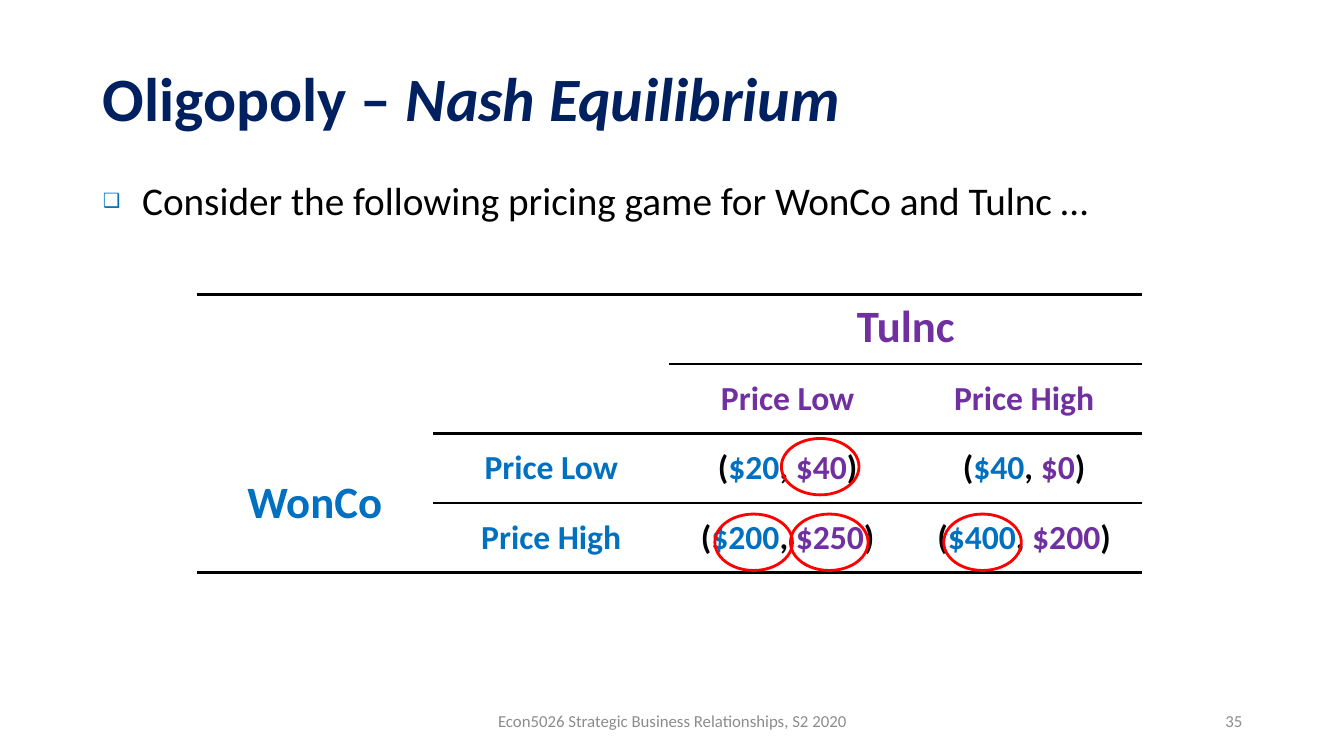
from lxml import etree
from pptx import Presentation
from pptx.dml.color import RGBColor
from pptx.enum.shapes import MSO_SHAPE
from pptx.enum.text import MSO_ANCHOR, PP_ALIGN
from pptx.oxml.ns import qn
from pptx.util import Inches, Pt

OVAL = MSO_SHAPE.OVAL
MIDDLE = MSO_ANCHOR.MIDDLE
TOP = MSO_ANCHOR.TOP
LEFT = PP_ALIGN.LEFT
CENTER = PP_ALIGN.CENTER
RIGHT = PP_ALIGN.RIGHT

NAVY = RGBColor(0x00, 0x20, 0x60)
BLUE = RGBColor(0x00, 0x70, 0xC0)
PURPLE = RGBColor(0x70, 0x30, 0xA0)
BLACK = RGBColor(0x00, 0x00, 0x00)
GRAY = RGBColor(0x8C, 0x8C, 0x8C)
RED = RGBColor(0xFF, 0x00, 0x00)

FONT = "Calibri"
HEADINGS = [
    (0, 2, "Tulnc", 32, PURPLE),
    (1, 2, "Price Low", 24, PURPLE),
    (1, 3, "Price High", 24, PURPLE),
    (2, 0, "WonCo", 32, BLUE),
    (2, 1, "Price Low", 24, BLUE),
    (3, 1, "Price High", 24, BLUE),
]
PAYOFFS = [
    [("$20", "$40"), ("$40", "$0")],
    [("$200", "$250"), ("$400", "$200")],
]
RULES = [(0, 2.25), (2, 1.5), (1, 2.25), (1, 1.5), (0, 2.25)]
BEST_RESPONSES = [(7.75, 4.35), (7.84, 5.1), (7.09, 5.1), (9.36, 5.1)]


def place(shape, left, top, width, height):
    shape.left, shape.top = Inches(left), Inches(top)
    shape.width, shape.height = Inches(width), Inches(height)


def add_run(paragraph, text, size, color, bold=False, italic=False):
    run = paragraph.add_run()
    run.text = text
    run.font.name = FONT
    run.font.size = Pt(size)
    run.font.color.rgb = color
    run.font.bold = bold
    run.font.italic = italic


def add_title(slide):
    title = slide.shapes.title
    place(title, 0.92, 0.4, 11.5, 1.21)
    title.text_frame.vertical_anchor = MIDDLE
    paragraph = title.text_frame.paragraphs[0]
    paragraph.alignment = LEFT
    paragraph.line_spacing = 0.9
    add_run(paragraph, "Oligopoly – ", 44, NAVY, bold=True)
    add_run(paragraph, "Nash Equilibrium", 44, NAVY, bold=True, italic=True)


def add_bullet(paragraph):
    properties = paragraph._p.get_or_add_pPr()
    properties.set("marL", str(Inches(0.39)))
    properties.set("indent", str(Inches(-0.39)))
    color = etree.SubElement(properties, qn("a:buClr"))
    etree.SubElement(color, qn("a:srgbClr"), val=str(BLUE))
    etree.SubElement(properties, qn("a:buSzPct"), val="50000")
    etree.SubElement(properties, qn("a:buChar"), char="❑")


def add_body(slide):
    body = slide.placeholders[1]
    place(body, 0.92, 1.61, 11.5, 5.14)
    paragraph = body.text_frame.paragraphs[0]
    add_bullet(paragraph)
    paragraph.line_spacing = 1.2
    paragraph.space_before = Pt(0)
    paragraph.space_after = Pt(6)
    add_run(paragraph, "Consider the following pricing game for WonCo and Tulnc …", 28, BLACK)


def add_footer(slide, text, left, width, alignment):
    box = slide.shapes.add_textbox(Inches(left), Inches(6.95), Inches(width), Inches(0.4))
    box.text_frame.word_wrap = True
    box.text_frame.vertical_anchor = MIDDLE
    paragraph = box.text_frame.paragraphs[0]
    paragraph.alignment = alignment
    add_run(paragraph, text, 12, GRAY)


def add_border(cell, side, width):
    line = etree.SubElement(cell._tc.get_or_add_tcPr(), qn("a:" + side), w=str(Pt(width)))
    if width:
        fill = etree.SubElement(line, qn("a:solidFill"))
        etree.SubElement(fill, qn("a:srgbClr"), val=str(BLACK))
    else:
        etree.SubElement(line, qn("a:noFill"))


def rule_width(edge, column):
    first_column, width = RULES[edge]
    return width if column >= first_column else 0


def format_cell(cell, row, column):
    bottom = row + (cell.span_height if cell.is_merge_origin else 1)
    add_border(cell, "lnL", 0)
    add_border(cell, "lnR", 0)
    add_border(cell, "lnT", rule_width(row, column))
    add_border(cell, "lnB", rule_width(bottom, column))
    cell.fill.background()
    cell.vertical_anchor = MIDDLE if row else TOP
    cell.text_frame.paragraphs[0].alignment = CENTER


def add_payoff_table(slide):
    frame = slide.shapes.add_table(4, 4, Inches(1.95), Inches(2.92), Inches(9.38), Inches(2.76))
    table = frame.table
    table.first_row = False
    table.horz_banding = False
    table.cell(0, 2).merge(table.cell(0, 3))
    table.cell(2, 0).merge(table.cell(3, 0))
    for row in range(4):
        for column in range(4):
            format_cell(table.cell(row, column), row, column)
    for row, column, text, size, color in HEADINGS:
        paragraph = table.cell(row, column).text_frame.paragraphs[0]
        add_run(paragraph, text, size, color, bold=True)
    for row, pairs in enumerate(PAYOFFS, start=2):
        for column, (wonco, tulnc) in enumerate(pairs, start=2):
            paragraph = table.cell(row, column).text_frame.paragraphs[0]
            parts = [("(", BLACK), (wonco, BLUE), (", ", BLACK), (tulnc, PURPLE), (")", BLACK)]
            for text, color in parts:
                add_run(paragraph, text, 24, color, bold=True)


def add_best_response(slide, left, top):
    oval = slide.shapes.add_shape(OVAL, Inches(left), Inches(top), Inches(0.77), Inches(0.56))
    oval.shadow.inherit = False
    oval.fill.background()
    oval.line.color.rgb = RED
    oval.line.width = Pt(2)


def main():
    presentation = Presentation()
    presentation.slide_width = Inches(13.33)
    presentation.slide_height = Inches(7.5)
    slide = presentation.slides.add_slide(presentation.slide_layouts[1])
    add_title(slide)
    add_body(slide)
    add_footer(slide, "Econ5026 Strategic Business Relationships, S2 2020", 4.42, 4.5, CENTER)
    add_footer(slide, "35", 9.42, 3, RIGHT)
    add_payoff_table(slide)
    for left, top in BEST_RESPONSES:
        add_best_response(slide, left, top)
    presentation.save("out.pptx")


if __name__ == "__main__":
    main()
